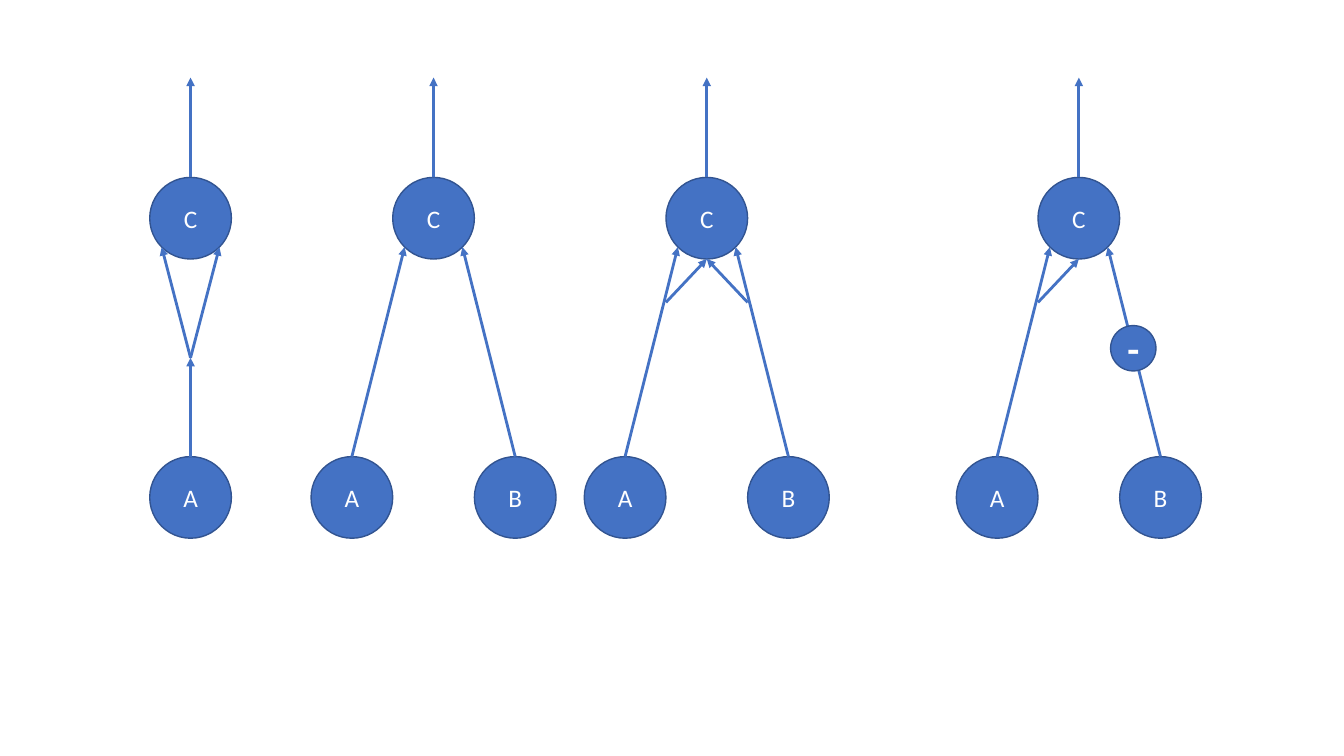
from math import sqrt

from lxml import etree
from pptx import Presentation
from pptx import util as u
from pptx.dml.color import RGBColor
from pptx.enum import shapes, text
from pptx.oxml.ns import qn

BLUE, OUTLINE, WHITE = "4472C4", "325491", "FFFFFF"

# Centre of each network; inputs and bypasses give their side: -1 left, 0 middle, 1 right
NETWORKS = [
    {"centre": 1.89, "inputs": {"A": 0}, "bypasses": [], "negated": []},
    {"centre": 4.30, "inputs": {"A": -1, "B": 1}, "bypasses": [], "negated": []},
    {"centre": 7.01, "inputs": {"A": -1, "B": 1}, "bypasses": [-1, 1], "negated": []},
    {"centre": 10.70, "inputs": {"A": -1, "B": 1}, "bypasses": [-1], "negated": [1]},
]
NEURON, NEGATOR = 0.81, 0.45  # diameters
ARROW_TOP, OUTPUT_Y, INPUT_Y = 0.77, 2.165, 4.935
BYPASS_Y, NEGATOR_Y, FORK_Y = 3.0, 3.455, 3.55
RADIUS = NEURON / 2
DIAGONAL = RADIUS / sqrt(2)

prs = Presentation()
prs.slide_width, prs.slide_height = u.Inches(13.33), u.Inches(7.5)
slide = prs.slides.add_slide(prs.slide_layouts[6])


def rgb(colour):
    return RGBColor.from_string(colour)


def circle(label, x, y, diameter=NEURON, size=18, bold=False):
    """Draw a labelled circle centred on x, y."""
    node = slide.shapes.add_shape(
        shapes.MSO_SHAPE.OVAL, u.Inches(x - diameter / 2), u.Inches(y - diameter / 2),
        u.Inches(diameter), u.Inches(diameter))
    node.shadow.inherit = False
    node.fill.solid()
    node.fill.fore_color.rgb = rgb(BLUE)
    node.line.color.rgb = rgb(OUTLINE)
    node.line.width = u.Pt(1)
    frame = node.text_frame
    frame.text = label
    frame.vertical_anchor = text.MSO_ANCHOR.MIDDLE
    paragraph = frame.paragraphs[0]
    paragraph.alignment = text.PP_ALIGN.CENTER
    font = paragraph.runs[0].font
    font.name, font.size, font.bold = "Calibri", u.Pt(size), bold
    font.color.rgb = rgb(WHITE)
    return node


def arrow(start, end, source=None):
    """Draw an arrow, joined to the top of the source circle if there is one."""
    link = slide.shapes.add_connector(
        shapes.MSO_CONNECTOR.STRAIGHT, *(u.Inches(v) for v in (*start, *end)))
    if source is not None:
        link.begin_connect(source, 0)
    link.line.color.rgb = rgb(BLUE)
    link.line.width = u.Pt(2)
    etree.SubElement(link.line._get_or_add_ln(), qn("a:tailEnd"), type="triangle")
    etree.SubElement(link._element.spPr, qn("a:effectLst"))


for network in NETWORKS:
    centre = network["centre"]
    output = circle("C", centre, OUTPUT_Y)
    arrow((centre, OUTPUT_Y - RADIUS), (centre, ARROW_TOP), output)

    for label, side in network["inputs"].items():
        x = centre + side * NEURON
        neuron = circle(label, x, INPUT_Y)
        start = (x, INPUT_Y - RADIUS)
        if side == 0:
            arrow(start, (centre, FORK_Y), neuron)
            for branch in (1, -1):
                arrow((centre, FORK_Y), (centre + branch * DIAGONAL, OUTPUT_Y + DIAGONAL))
        else:
            arrow(start, (centre + side * DIAGONAL, OUTPUT_Y + DIAGONAL), neuron)

    for side in network["bypasses"]:
        arrow((centre + side * RADIUS, BYPASS_Y), (centre, OUTPUT_Y + RADIUS))

    for side in network["negated"]:
        circle("-", centre + side * NEURON * 2 / 3, NEGATOR_Y, NEGATOR, 28, True)

prs.save("out.pptx")
